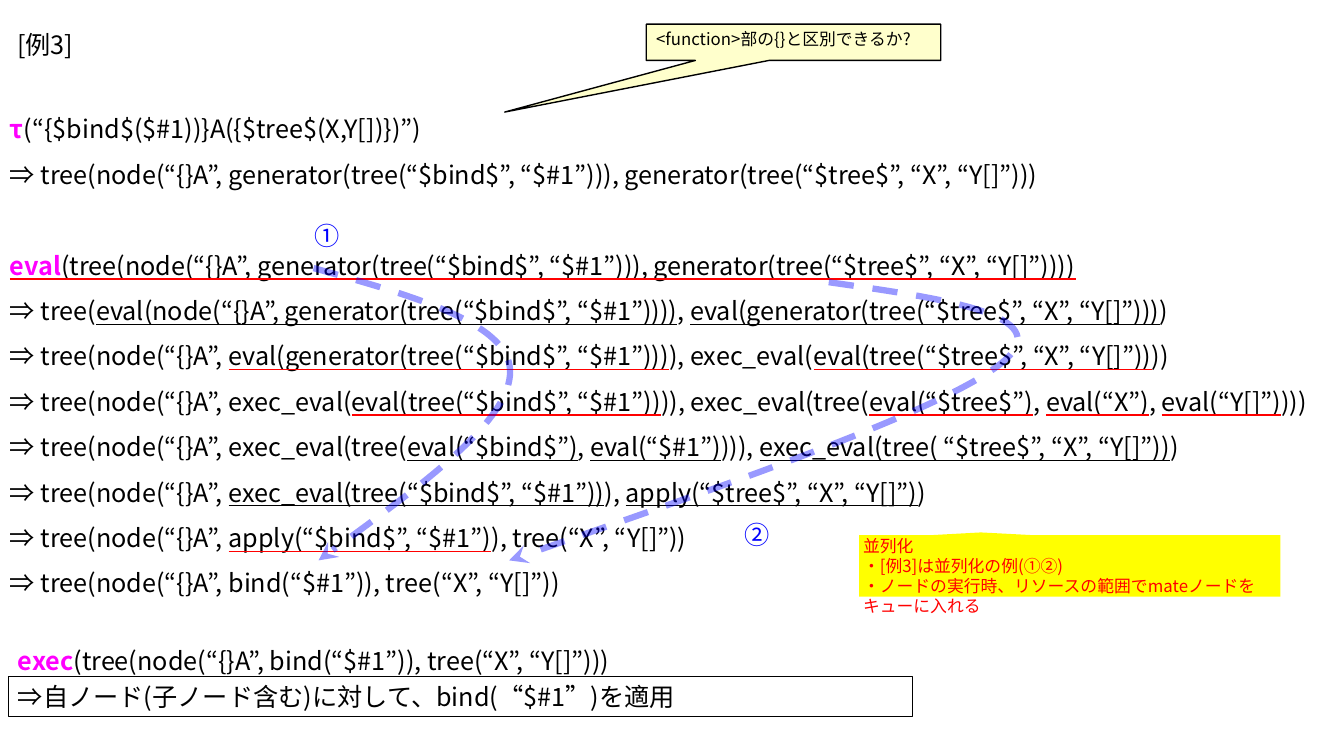
from lxml import etree
from pptx import Presentation
from pptx.dml.color import RGBColor
from pptx.enum.shapes import MSO_SHAPE as SHAPE
from pptx.enum.text import MSO_ANCHOR as ANCHOR, MSO_AUTO_SIZE as AUTO, PP_ALIGN as ALIGN
from pptx.oxml import parse_xml
from pptx.oxml.ns import nsdecls, qn
from pptx.util import Inches, Pt

FONT = "Noto Sans CJK JP"


def rgb(value):
    return RGBColor.from_string(value)


def add_run(p, text, size=18, color="000000", bold=False, underline=None):
    r = p.add_run()
    r.text = text
    r.font.size = Pt(size)
    r.font.bold = bold
    r.font.color.rgb = rgb(color)
    r.font.name = FONT
    rpr = r.font._element
    etree.SubElement(rpr, qn("a:ea")).set("typeface", FONT)
    if underline:
        r.font.underline = True
        rpr.find(qn("a:latin")).addprevious(parse_xml(
            f'<a:uFill {nsdecls("a")}><a:solidFill><a:srgbClr val="{underline}"/></a:solidFill></a:uFill>'))


prs = Presentation()
prs.slide_width, prs.slide_height = Inches(13.33), Inches(7.5)
s = prs.slides.add_slide(prs.slide_layouts[5])

title = s.shapes.title
title.left, title.top, title.width, title.height = [Inches(v) for v in (0.07, 0.24, 0.95, 0.4)]
tf = title.text_frame
tf.auto_size = AUTO.NONE
tf.vertical_anchor = ANCHOR.TOP
tf.paragraphs[0].alignment = ALIGN.LEFT
add_run(tf.paragraphs[0], "[例3]")

RED, BLACK = "FF0000", "000000"
steps = [
    ("τ", None, "(“{$bind$($#1))}A({$tree$(X,Y[])})”)"),
    ("", None, "⇒ tree(node(“{}A”, generator(tree(“$bind$”, “$#1”))), generator(tree(“$tree$”, “X”, “Y[]”)))"),
    ("eval", RED, "|(tree(node(“{}A”, generator(tree(“$bind$”, “$#1”))), generator(tree(“$tree$”, “X”, “Y[]”))))"),
    ("", BLACK, "⇒ tree(|eval(node(“{}A”, generator(tree(“$bind$”, “$#1”))))|, |eval(generator(tree(“$tree$”, “X”, “Y[]”)))|)"),
    ("", RED, "⇒ tree(node(“{}A”, |eval(generator(tree(“$bind$”, “$#1”)))|), exec_eval(|eval(tree(“$tree$”, “X”, “Y[]”))|))"),
    ("", RED, "⇒ tree(node(“{}A”, exec_eval(|eval(tree(“$bind$”, “$#1”))|)), exec_eval(tree(|eval(“$tree$”)|, |eval(“X”)|, |eval(“Y[]”)|)))"),
    ("", BLACK, "⇒ tree(node(“{}A”, exec_eval(tree(|eval(“$bind$”)|, |eval(“$#1”)|))), |exec_eval(tree( “$tree$”, “X”, “Y[]”))|)"),
    ("", BLACK, "⇒ tree(node(“{}A”, |exec_eval(tree(“$bind$”, “$#1”))|), |apply(“$tree$”, “X”, “Y[]”)|)"),
    ("", RED, "⇒ tree(node(“{}A”, |apply(“$bind$”, “$#1”)|), tree(“X”, “Y[]”))"),
    ("", None, "⇒ tree(node(“{}A”, bind(“$#1”)), tree(“X”, “Y[]”))"),
]
tf = s.shapes.add_textbox(Inches(0), Inches(0.93), Inches(13.33), Inches(5.06)).text_frame
tf.word_wrap = True
for i, (keyword, underline, code) in enumerate(steps):
    p = tf.add_paragraph() if i else tf.paragraphs[0]
    p.line_spacing = 1.5
    if keyword == "eval":
        p.space_before = Pt(32.5)
    if keyword:
        add_run(p, keyword, color="FF00FF", bold=True, underline=underline)
    for j, part in enumerate(code.split("|")):
        if part:
            add_run(p, part, underline=underline if j % 2 else None)

boxes = [
    (SHAPE.RECTANGULAR_CALLOUT, (6.41, 0.24, 2.92, 0.36), (-0.981, 1.924), "FFFFCC", 1, 12, BLACK,
     ["<function>部の{}と区別できるか?"]),
    (SHAPE.RECTANGLE, (0.08, 6.71, 8.97, 0.4), (), None, 0.75, 18, BLACK,
     ["⇒自ノード(子ノード含む)に対して、bind(“$#1”)を適用"]),
    (SHAPE.RECTANGULAR_CALLOUT, (8.52, 5.31, 4.18, 0.61), (-0.211, -0.546), "FFFF00", None, 12, RED,
     ["並列化", "・[例3]は並列化の例(①②)", "・ノードの実行時、リソースの範囲でmateノードをキューに入れる"]),
]
for kind, place, tip, fill, line, size, color, lines in boxes:
    sp = s.shapes.add_shape(kind, *[Inches(v) for v in place])
    sp.shadow.inherit = False
    for i, value in enumerate(tip):
        sp.adjustments[i] = value
    if fill:
        sp.fill.solid()
        sp.fill.fore_color.rgb = rgb(fill)
    else:
        sp.fill.background()
    tf = sp.text_frame
    tf.word_wrap = True
    tf.vertical_anchor = ANCHOR.TOP
    if line:
        sp.line.color.rgb = rgb(BLACK)
        sp.line.width = Pt(line)
    else:
        sp.line.fill.background()
        tf.margin_left = Inches(0.04)
        tf.margin_top = tf.margin_right = tf.margin_bottom = 0
    for i, text in enumerate(lines):
        p = tf.add_paragraph() if i else tf.paragraphs[0]
        p.alignment = ALIGN.LEFT
        add_run(p, text, size, color)

flows = [
    [(3.11, 2.66), (4.08, 2.93), (5.05, 3.2), (5.06, 3.68), (5.07, 4.17), (4.12, 4.86), (3.16, 5.56)],
    [(8.22, 2.8), (9.35, 2.96), (10.49, 3.12), (9.96, 3.58), (9.43, 4.04), (7.24, 4.8), (5.05, 5.56)],
]
for start, *points in flows:
    fb = s.shapes.build_freeform(Inches(start[0]), Inches(start[1]))
    fb.add_line_segments([(Inches(x), Inches(y)) for x, y in points], close=False)
    sp = fb.convert_to_shape()
    sp.shadow.inherit = False
    sp.fill.background()
    sp.line.color.rgb = rgb("0000FF")
    sp.line.width = Pt(4.5)
    ln = sp.line._get_or_add_ln()
    etree.SubElement(ln.find(".//" + qn("a:srgbClr")), qn("a:alpha")).set("val", "40000")
    etree.SubElement(ln, qn("a:prstDash")).set("val", "dash")
    etree.SubElement(ln, qn("a:tailEnd")).set("type", "stealth")
    segments = list(sp._element.iter(qn("a:lnTo")))
    for i in range(0, len(segments), 3):
        curve = etree.SubElement(segments[i].getparent(), qn("a:cubicBezTo"))
        for segment in segments[i:i + 3]:
            curve.append(segment[0])
            segment.getparent().remove(segment)

labels = [
    ("", "①", "0000FF", (3.02, 2.14, 0.74, 0.4)),
    ("", "②", "0000FF", (7.29, 5.1, 0.57, 0.4)),
    ("exec", "(tree(node(“{}A”, bind(“$#1”)), tree(“X”, “Y[]”)))", BLACK, (0.08, 6.35, 8.97, 0.44)),
]
for keyword, text, color, place in labels:
    tf = s.shapes.add_textbox(*[Inches(v) for v in place]).text_frame
    tf.word_wrap = True
    if keyword:
        add_run(tf.paragraphs[0], keyword, color="FF00FF", bold=True)
    add_run(tf.paragraphs[0], text, color=color)

prs.save("out.pptx")
